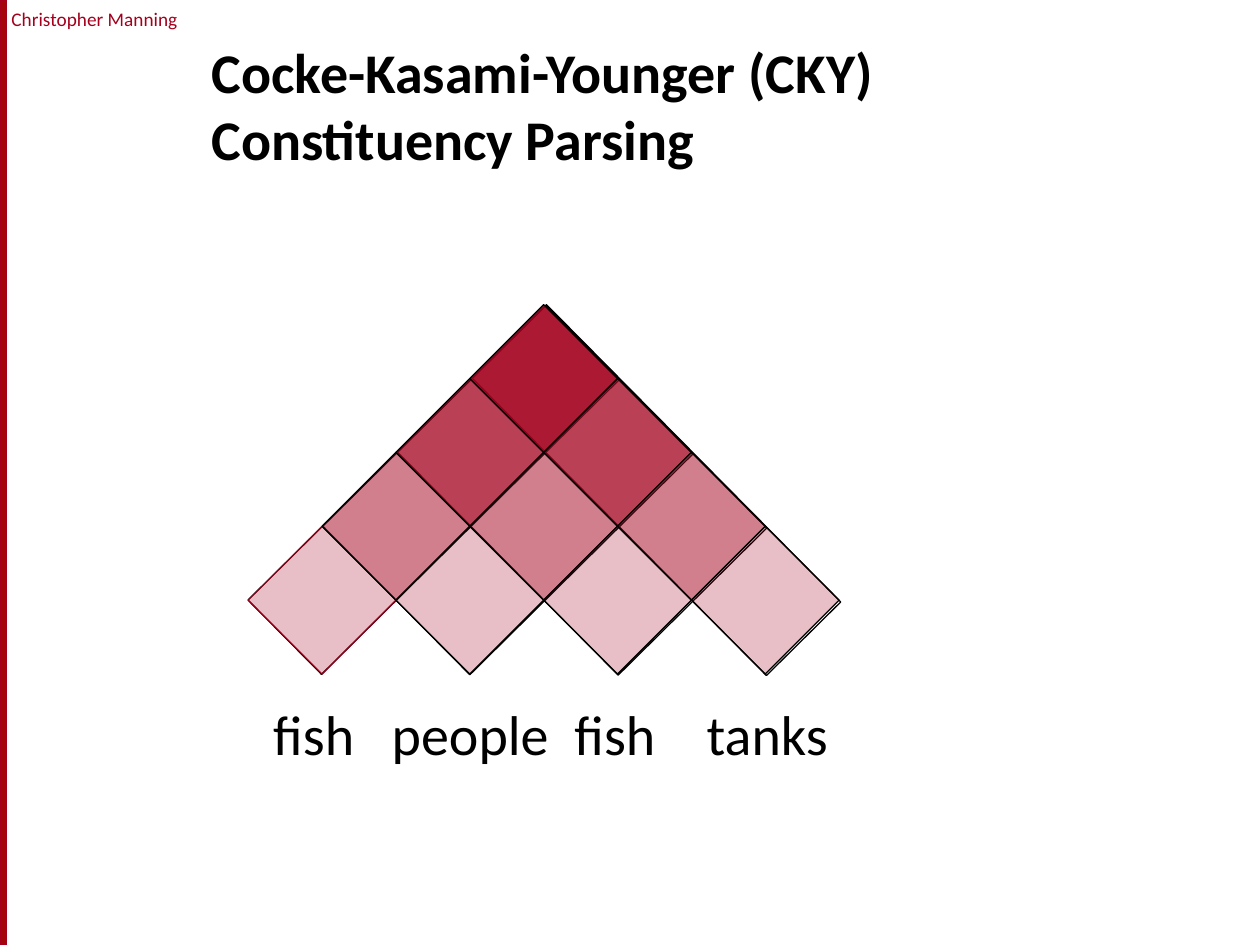
from lxml import etree
from pptx import Presentation
from pptx.dml.color import RGBColor
from pptx.enum.shapes import MSO_SHAPE
from pptx.enum.text import MSO_ANCHOR, PP_ALIGN
from pptx.oxml.ns import qn
from pptx.util import Inches, Pt

RECTANGLE = MSO_SHAPE.RECTANGLE
LEFT, CENTER = PP_ALIGN.LEFT, PP_ALIGN.CENTER
TOP, BOTTOM = MSO_ANCHOR.TOP, MSO_ANCHOR.BOTTOM
RED, BLACK = "A4001D", "000000"
WORDS = ["fish", "people", "fish", "tanks"]
WORD_STOPS = [0.94, 2.39, 3.44]
ROW_OPACITIES = [25, 50, 75, 90]
CELL = 0.83


def color(value):
    """Turn a hex string into a colour."""
    return RGBColor.from_string(value)


def set_opacity(color_format_owner, percent):
    """Give the solid colour of a fill the opacity in percent."""
    for element in color_format_owner.iter(qn("a:srgbClr")):
        etree.SubElement(element, qn("a:alpha"), val=str(percent * 1000))


def add_text(slide, text, box, size=32, hex_color=BLACK, bold=False, align=LEFT,
             anchor=TOP, side_inset=0.1):
    """Add a text box in Calibri and return its paragraph."""
    frame = slide.shapes.add_textbox(*map(Inches, box)).text_frame
    frame.word_wrap = True
    frame.vertical_anchor = anchor
    frame.margin_left = frame.margin_right = Inches(side_inset)
    paragraph = frame.paragraphs[0]
    paragraph.text = text
    paragraph.alignment = align
    font = paragraph.font
    font.name, font.size, font.bold = "Calibri", Pt(size), bold
    font.color.rgb = color(hex_color)
    return paragraph


def add_rectangle(shapes, box, fill=None, opacity=100, line=BLACK, line_opacity=100, rotation=0):
    """Add a thinly outlined rectangle, hollow unless a fill is given."""
    shape = shapes.add_shape(RECTANGLE, *map(Inches, box))
    shape.shadow.inherit = False
    shape.rotation = rotation
    if fill:
        shape.fill.solid()
        shape.fill.fore_color.rgb = color(fill)
        if opacity < 100:
            set_opacity(shape.fill._xPr.find(qn("a:solidFill")), opacity)
    else:
        shape.fill.background()
    shape.line.width = Pt(0.75)
    shape.line.color.rgb = color(line)
    if line_opacity < 100:
        set_opacity(shape.line._ln, line_opacity)


def centered_box(center_x, center_y, width, height):
    """Return the box of the given size around a centre."""
    return center_x - width / 2, center_y - height / 2, width, height


def add_branding(slide, box):
    """Add the red edge stripe and the author's name."""
    left, top, _, height = box
    add_rectangle(slide.shapes, (left, top, 0.05, height), fill="A40508", line=RED)
    add_text(slide, "Christopher Manning", (left + 0.04, top + 0.01, 1.42, 0.29),
             size=11, hex_color=RED, align=CENTER, side_inset=0)


def add_frames(slide, box):
    """Add the hollow diagonal bands that cross the chart."""
    left, top, _, _ = box
    count = len(WORDS)
    for index in range(count):
        add_rectangle(slide.shapes, centered_box(
            left + 1.47 + 0.59 * index, top + 1.47,
            CELL * (index + 1), CELL * (count - index)), rotation=45.3)


def add_cells(slide, box):
    """Add the triangle of chart cells, one row for each span length."""
    left, top, width, height = box
    step = width / len(WORDS)
    for row, opacity in enumerate(ROW_OPACITIES):
        count = len(WORDS) - row
        shapes = slide.shapes.add_group_shape().shapes if count > 1 else slide.shapes
        for column in range(count):
            first = row == column == 0
            add_rectangle(shapes, centered_box(
                left + step * (column + (row + 1) / 2),
                top + height - step * (row + 1) / 2, CELL, CELL),
                fill=RED, opacity=opacity, rotation=45,
                line=RED if first else BLACK, line_opacity=86 if first else 100)


def add_words(slide, box):
    """Add the sentence, with a tab stop under each chart column."""
    paragraph = add_text(slide, "\t".join(WORDS), box)
    tab_list = etree.Element(qn("a:tabLst"))
    for stop in WORD_STOPS:
        etree.SubElement(tab_list, qn("a:tab"), pos=str(Inches(stop)), algn="l")
    properties = paragraph._p.get_or_add_pPr()
    properties.insert(0, tab_list)


def main():
    """Build the slide and save it."""
    presentation = Presentation()
    presentation.slide_width, presentation.slide_height = Inches(10), Inches(7.5)
    slide = presentation.slides.add_slide(presentation.slide_layouts[6])
    add_branding(slide, (0, 0, 10, 7.5))
    add_text(slide, "Cocke-Kasami-Younger (CKY)\vConstituency Parsing",
             (1.58, 0.33, 8.08, 1.08), bold=True, anchor=BOTTOM)
    chart_box = (1.97, 2.42, 4.69, 2.93)
    add_frames(slide, chart_box)
    add_words(slide, (2.07, 5.5, 4.65, 0.64))
    add_cells(slide, chart_box)
    presentation.save("out.pptx")


if __name__ == "__main__":
    main()
